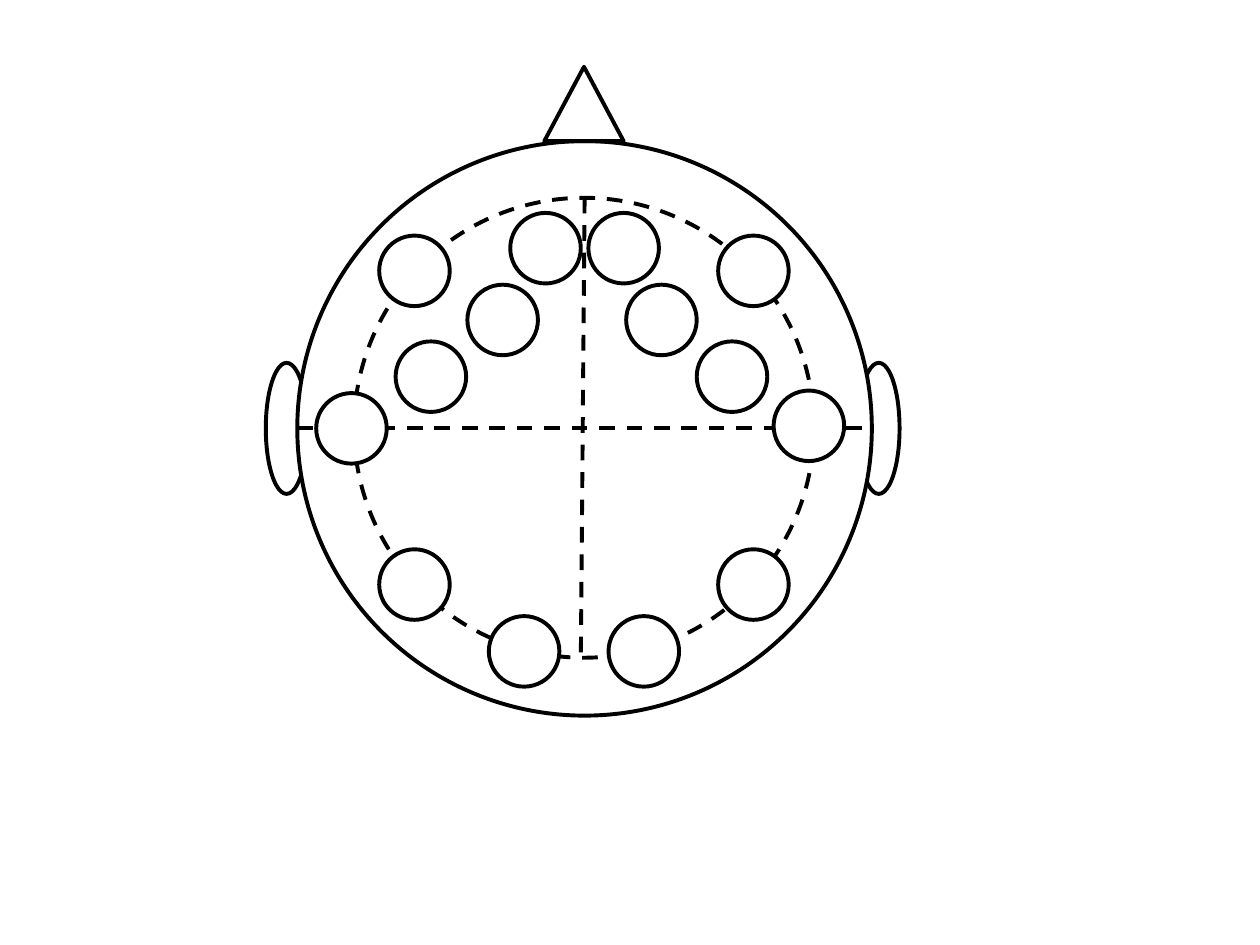
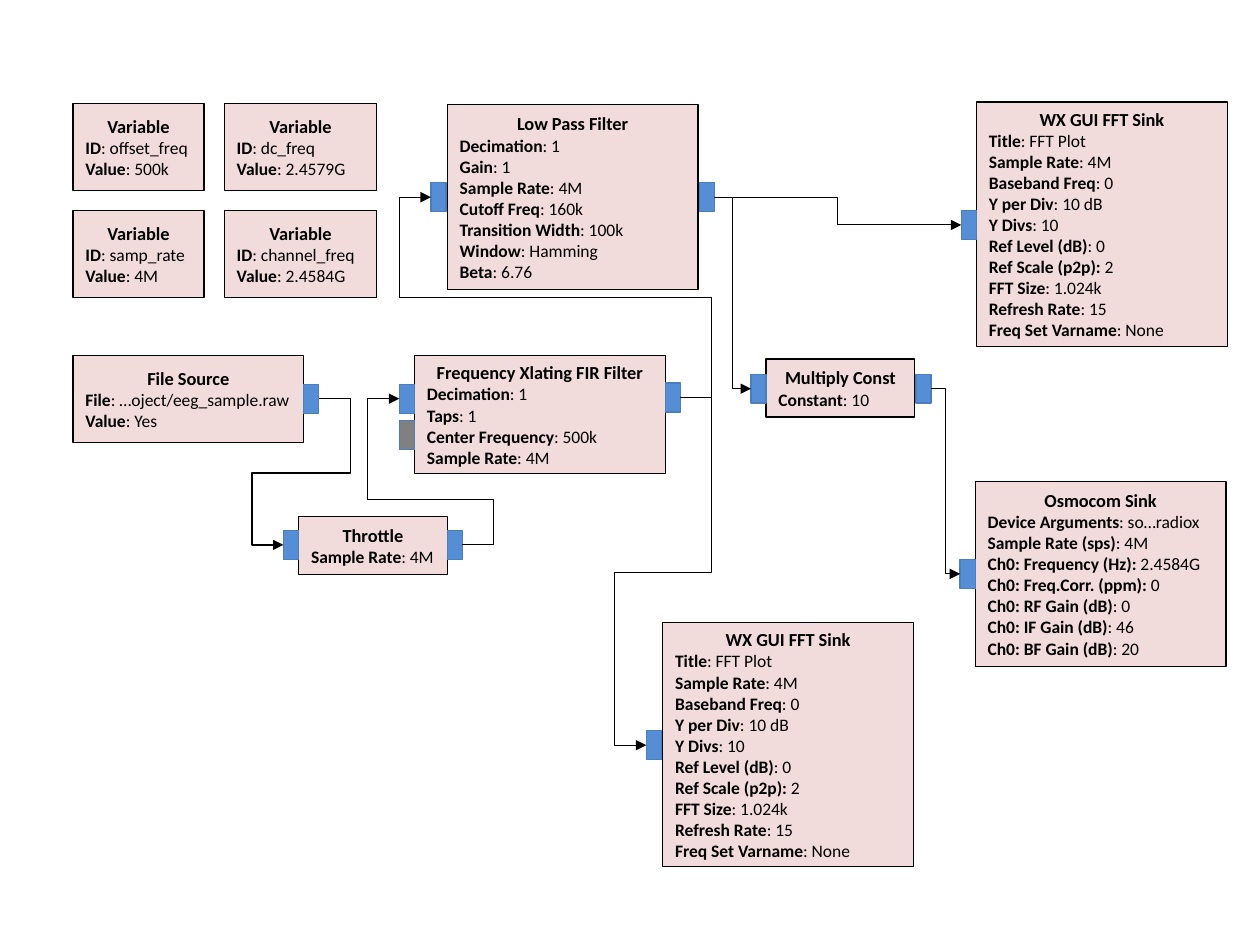
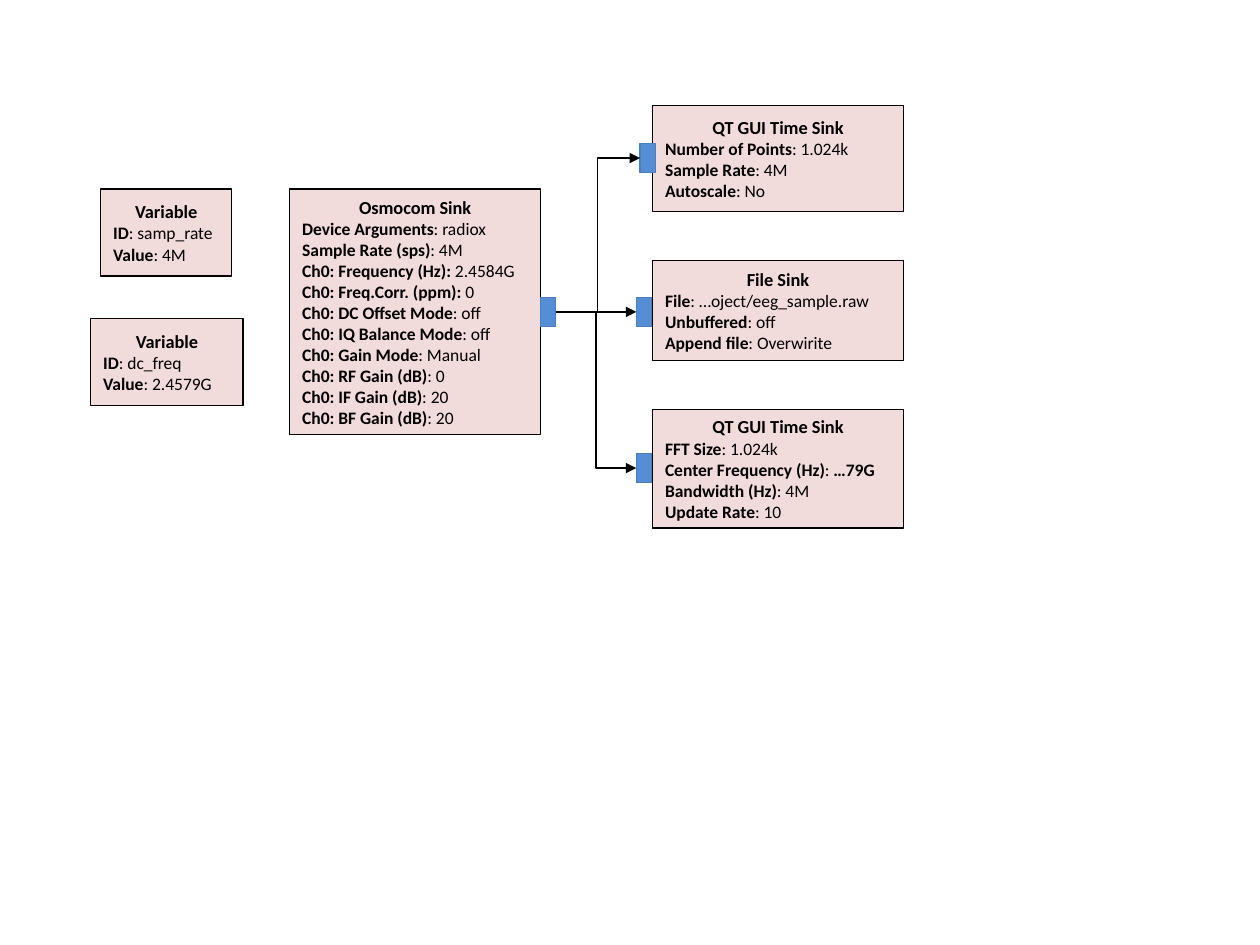
"""Build three slides: an electrode map and two signal flow graphs."""
from lxml.etree import SubElement
from pptx import Presentation
from pptx.dml.color import RGBColor
from pptx.enum.dml import MSO_LINE
from pptx.enum.shapes import MSO_CONNECTOR, MSO_SHAPE
from pptx.enum.text import MSO_ANCHOR, PP_ALIGN
from pptx.oxml.ns import qn
from pptx.util import Pt

PX = 9144
FONT = "Calibri"
COLORS = {"ink": "000000", "paper": "FFFFFF", "block": "F2DCDB",
          "port": "558ED5", "spare": "808080", "edge": "4B7EBC"}
LEFT_SITE, RIGHT_SITE = 1, 3

FFT_SINK = ("WX GUI FFT Sink", "Title|: FFT Plot", "Sample Rate|: 4M",
            "Baseband Freq|: 0", "Y per Div|: 10 dB", "Y Divs|: 10",
            "Ref Level (dB)|: 0", "Ref Scale (p2p): |2", "FFT Size|: 1.024k",
            "Refresh Rate|: 15", "Freq Set Varname|: None")
TUNING = ("Sample Rate (sps)|: 4M", "Ch0: Frequency (Hz):| 2.4584G",
          "Ch0: Freq.Corr. (ppm): |0")


def color(name):
    return RGBColor.from_string(COLORS[name])


def add_run(p, text, size=10, bold=False, fill="ink"):
    r = p.add_run()
    r.text = text
    r.font.name = FONT
    r.font.size = Pt(size)
    r.font.bold = bold
    r.font.color.rgb = color(fill)


class Deck:
    def __init__(self):
        self.prs = Presentation()
        self.prs.slide_width = 1000 * PX
        self.prs.slide_height = 750 * PX
        self.s = None

    def new_slide(self):
        self.s = self.prs.slides.add_slide(self.prs.slide_layouts[6])

    def style_line(self, sp, width, dashed=False, line="ink"):
        sp.line.color.rgb = color(line)
        sp.line.width = Pt(width)
        if dashed:
            sp.line.dash_style = MSO_LINE.DASH

    def shape(self, kind, x, y, w, h, fill="paper", width=2.25, dashed=False, line="ink"):
        sp = self.s.shapes.add_shape(kind, x * PX, y * PX, w * PX, h * PX)
        sp.shadow.inherit = False
        if fill:
            sp.fill.solid()
            sp.fill.fore_color.rgb = color(fill)
        else:
            sp.fill.background()
        self.style_line(sp, width, dashed, line)
        return sp

    def ellipse(self, x, y, w, h, **style):
        return self.shape(MSO_SHAPE.OVAL, x, y, w, h, **style)

    def connector(self, kind, x1, y1, x2, y2, width, dashed=False):
        cx = self.s.shapes.add_connector(kind, x1 * PX, y1 * PX, x2 * PX, y2 * PX)
        self.style_line(cx, width, dashed)
        SubElement(cx._element.spPr, qn("a:effectLst"))
        return cx

    def axis(self, x1, y1, x2, y2):
        self.connector(MSO_CONNECTOR.STRAIGHT, x1, y1, x2, y2, 2.25, dashed=True)

    def block(self, x, y, w, h, title, *params):
        """Draw a block; bars in a parameter switch between bold and regular."""
        sp = self.shape(MSO_SHAPE.RECTANGLE, x, y, w, h, fill="block", width=0.75)
        tf = sp.text_frame
        tf.word_wrap = True
        tf.vertical_anchor = MSO_ANCHOR.MIDDLE
        p = tf.paragraphs[0]
        p.alignment = PP_ALIGN.CENTER
        add_run(p, title, size=10.5, bold=True)
        for param in params:
            p = tf.add_paragraph()
            p.alignment = PP_ALIGN.LEFT
            for i, part in enumerate(param.split("|")):
                add_run(p, part, bold=i % 2 == 0)

    def variable(self, x, y, w, name, value):
        self.block(x, y, w, 69, "Variable", f"ID|: {name}", f"Value|: {value}")

    def port(self, x, y, fill="port"):
        return self.shape(MSO_SHAPE.RECTANGLE, x, y, 12, 23, fill=fill,
                          width=0.75, line="edge")

    def wire(self, source, target, via=None, width=0.5):
        """Join two ports; via holds the x, y and x of a five-part route."""
        x1, y1 = (source.left + source.width) // PX, (source.top + source.height // 2) // PX
        x2, y2 = target.left // PX, (target.top + target.height // 2) // PX
        cx = self.connector(MSO_CONNECTOR.ELBOW, x1, y1, x2, y2, width)
        cx.begin_connect(source, RIGHT_SITE)
        cx.end_connect(target, LEFT_SITE)
        if via:
            geom = cx._element.spPr.find(qn("a:prstGeom"))
            geom.set("prst", "bentConnector5")
            av = geom.get_or_add_avLst()
            xa, ym, xb = via
            ratios = ((xa - x1) / (x2 - x1), (ym - y1) / (y2 - y1), (xb - x1) / (x2 - x1))
            for i, ratio in enumerate(ratios, 1):
                SubElement(av, qn("a:gd"), name=f"adj{i}", fmla=f"val {round(ratio * 100000)}")
        SubElement(cx.line._get_or_add_ln(), qn("a:tailEnd"), type="triangle")


def electrode_map(deck):
    deck.new_slide()
    for ear_x in (211, 681):
        deck.ellipse(ear_x, 288, 33, 104)
    deck.ellipse(236, 112, 456, 456)
    deck.ellipse(281, 157, 365, 365, fill=None, dashed=True)
    deck.shape(MSO_SHAPE.ISOSCELES_TRIANGLE, 432, 53, 63, 59)
    deck.axis(236, 340, 692, 340)
    electrodes = [(405, 169), (467, 169), (301, 187), (570, 187), (371, 226), (497, 226),
                  (314, 271), (553, 271), (251, 312), (614, 310),
                  (301, 436), (570, 436), (388, 489), (483, 489)]
    for x, y in electrodes:
        deck.ellipse(x, y, 56, 56)
    deck.axis(464, 157, 461, 522)


def replay_graph(deck):
    deck.new_slide()
    deck.variable(58, 82, 104, "offset_freq", "500k")
    deck.variable(178, 82, 121, "dc_freq", "2.4579G")
    deck.variable(58, 167, 104, "samp_rate", "4M")
    deck.variable(178, 167, 121, "channel_freq", "2.4584G")
    deck.block(58, 282, 183, 69, "File Source", "File|: …oject/eeg_sample.raw", "Value|: Yes")
    deck.block(237, 410, 118, 46, "Throttle", "Sample Rate|: 4M")
    deck.block(329, 282, 199, 94, "Frequency Xlating FIR Filter", "Decimation|: 1",
               "Taps|: 1", "Center Frequency|: 500k", "Sample Rate|: 4M")
    deck.block(355, 83, 199, 147, "Low Pass Filter", "Decimation|: 1", "Gain|: 1",
               "Sample Rate|: 4M", "Cutoff Freq|: 160k", "Transition Width|: 100k",
               "Window|: Hamming", "Beta|: 6.76")
    deck.block(774, 382, 199, 147, "Osmocom Sink", "Device Arguments|: so…radiox", *TUNING,
               "Ch0: RF Gain (dB)|: 0", "Ch0: IF Gain (dB)|: 46", "Ch0: BF Gain (dB)|: 20")
    deck.block(526, 494, 199, 194, *FFT_SINK)
    deck.block(775, 81, 199, 194, *FFT_SINK)
    deck.block(608, 285, 118, 46, "Multiply Const", "Constant|: 10")

    file_out = deck.port(241, 305)
    throttle_in, throttle_out = deck.port(225, 421), deck.port(355, 421)
    fir_in, fir_out = deck.port(317, 305), deck.port(528, 304)
    deck.port(317, 334, fill="spare")
    low_pass_in, low_pass_out = deck.port(342, 145), deck.port(555, 145)
    multiply_in, multiply_out = deck.port(596, 297), deck.port(727, 297)
    lower_fft_in, upper_fft_in = deck.port(513, 580), deck.port(763, 167)
    osmocom_in = deck.port(762, 444)

    deck.wire(file_out, throttle_in, via=(278, 375, 200), width=0.75)
    deck.wire(throttle_out, fir_in, via=(392, 396, 292))
    deck.wire(fir_out, lower_fft_in, via=(565, 454, 488))
    deck.wire(fir_out, low_pass_in, via=(565, 236, 317))
    deck.wire(low_pass_out, multiply_in)
    deck.wire(low_pass_out, upper_fft_in)
    deck.wire(multiply_out, osmocom_in)


def capture_graph(deck):
    deck.new_slide()
    deck.variable(72, 253, 121, "dc_freq", "2.4579G")
    deck.variable(80, 150, 104, "samp_rate", "4M")
    deck.block(230, 150, 199, 195, "Osmocom Sink", "Device Arguments|: radiox", *TUNING,
               "Ch0: DC Offset Mode|: off", "Ch0: IQ Balance Mode|: off",
               "Ch0: Gain Mode|: Manual", "Ch0: RF Gain (dB)|: 0",
               "Ch0: IF Gain (dB)|: 20", "Ch0: BF Gain (dB)|: 20")
    deck.block(518, 84, 199, 84, "QT GUI Time Sink", "Number of Points|: 1.024k",
               "Sample Rate|: 4M", "Autoscale|: No")
    deck.block(518, 207, 199, 79, "File Sink", "File|: …oject/eeg_sample.raw",
               "Unbuffered|: off", "Append file|: Overwirite")
    deck.block(518, 325, 199, 94, "QT GUI Time Sink", "FFT Size|: 1.024k",
               "Center Frequency (Hz)|:| …79G", "Bandwidth (Hz)|: 4M", "Update Rate|: 10")
    osmocom_out = deck.port(429, 236)
    for x, y in ((508, 114), (505, 236), (505, 360)):
        deck.wire(osmocom_out, deck.port(x, y), width=0.75)


def main():
    deck = Deck()
    electrode_map(deck)
    replay_graph(deck)
    capture_graph(deck)
    deck.prs.save("out.pptx")


if __name__ == "__main__":
    main()
